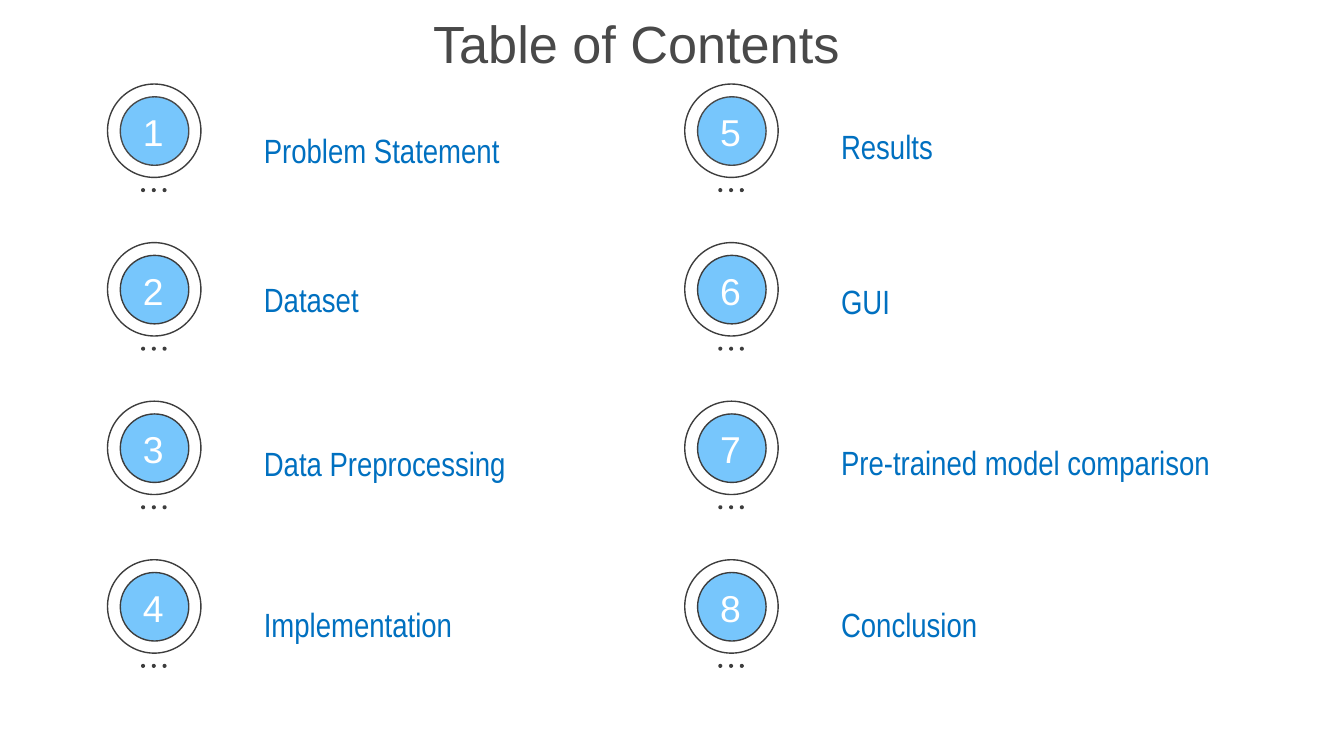
from pptx import Presentation
from pptx import util as u
from pptx.dml.color import RGBColor
from pptx.enum import shapes, text

PX = 4572
COLORS = {"paper": "FFFFFF", "ink": "3D3D3D", "title": "494949",
          "disc": "77C6FC", "label": "0070C0"}
ALIGN = text.PP_ALIGN
ANCHOR = text.MSO_ANCHOR
TOPICS = [
    [("Problem Statement", 164, 572), ("Dataset", 386, 572),
     ("Data Preprocessing", 630, 572), ("Implementation", 869, 572)],
    [("Results", 158, 572), ("GUI", 389, 572),
     ("Pre-trained model comparison", 629, 660), ("Conclusion", 869, 572)],
]
COLUMN_STEP, ROW_STEP = 859, 236


def write(box, words, font, size, color, align, anchor, spacing=1.0):
    frame = box.text_frame
    frame.text = words
    frame_format = {"word_wrap": True, "auto_size": text.MSO_AUTO_SIZE.NONE,
                    "vertical_anchor": anchor}
    for side in ("left", "right", "top", "bottom"):
        frame_format[f"margin_{side}"] = 20 * PX
    para = frame.paragraphs[0]
    span = para.runs[0]
    formats = [
        (frame, frame_format),
        (para, {"alignment": align, "line_spacing": spacing}),
        (span.font, {"name": font, "size": u.Pt(size)}),
    ]
    for target, values in formats:
        for name, value in values.items():
            setattr(target, name, value)
    span.font.color.rgb = RGBColor.from_string(COLORS[color])


def add_circle(group, left, top, size, fill, outline=None):
    circle = group.shapes.add_shape(
        shapes.MSO_SHAPE.OVAL, left * PX, top * PX, size * PX, size * PX)
    circle.shadow.inherit = False
    circle.fill.solid()
    circle.fill.fore_color.rgb = RGBColor.from_string(COLORS[fill])
    if outline:
        circle.line.color.rgb = RGBColor.from_string(COLORS[outline])
        circle.line.width = u.Pt(0.75)
    else:
        circle.line.fill.background()


deck = Presentation()
deck.slide_width, deck.slide_height = 2000 * PX, 1125 * PX
page = deck.slides.add_slide(deck.slide_layouts[5])
page.background.fill.solid()
page.background.fill.fore_color.rgb = RGBColor.from_string(COLORS["paper"])

title = page.shapes.title
for name, value in {"left": 373, "top": 12, "width": 896, "height": 102}.items():
    setattr(title, name, value * PX)
write(title, "Table of Contents", "Arial", 28, "title", ALIGN.RIGHT, ANCHOR.MIDDLE)

for column, topics in enumerate(TOPICS):
    x = 160 + column * COLUMN_STEP
    for row, (topic, label_top, label_width) in enumerate(topics):
        y = 125 + row * ROW_STEP
        badge = page.shapes.add_group_shape()
        add_circle(badge, x, y, 139, "paper", "ink")
        add_circle(badge, x + 19, y + 19, 102, "disc", "ink" if row else "title")
        for dot in range(3):
            add_circle(badge, x + 50 + dot * 16, y + 155, 6, "ink")

        number = page.shapes.add_textbox((x + 18) * PX, (y + 33) * PX, 100 * PX, 76 * PX)
        write(number, str(column * len(topics) + row + 1), "Arial", 20, "paper",
              ALIGN.CENTER, ANCHOR.MIDDLE)
        label = page.shapes.add_textbox(
            (x + 213) * PX, label_top * PX, label_width * PX, 84 * PX)
        write(label, topic, "Arial Narrow", 18, "label", ALIGN.LEFT, ANCHOR.TOP, 1.15)

deck.save("out.pptx")
